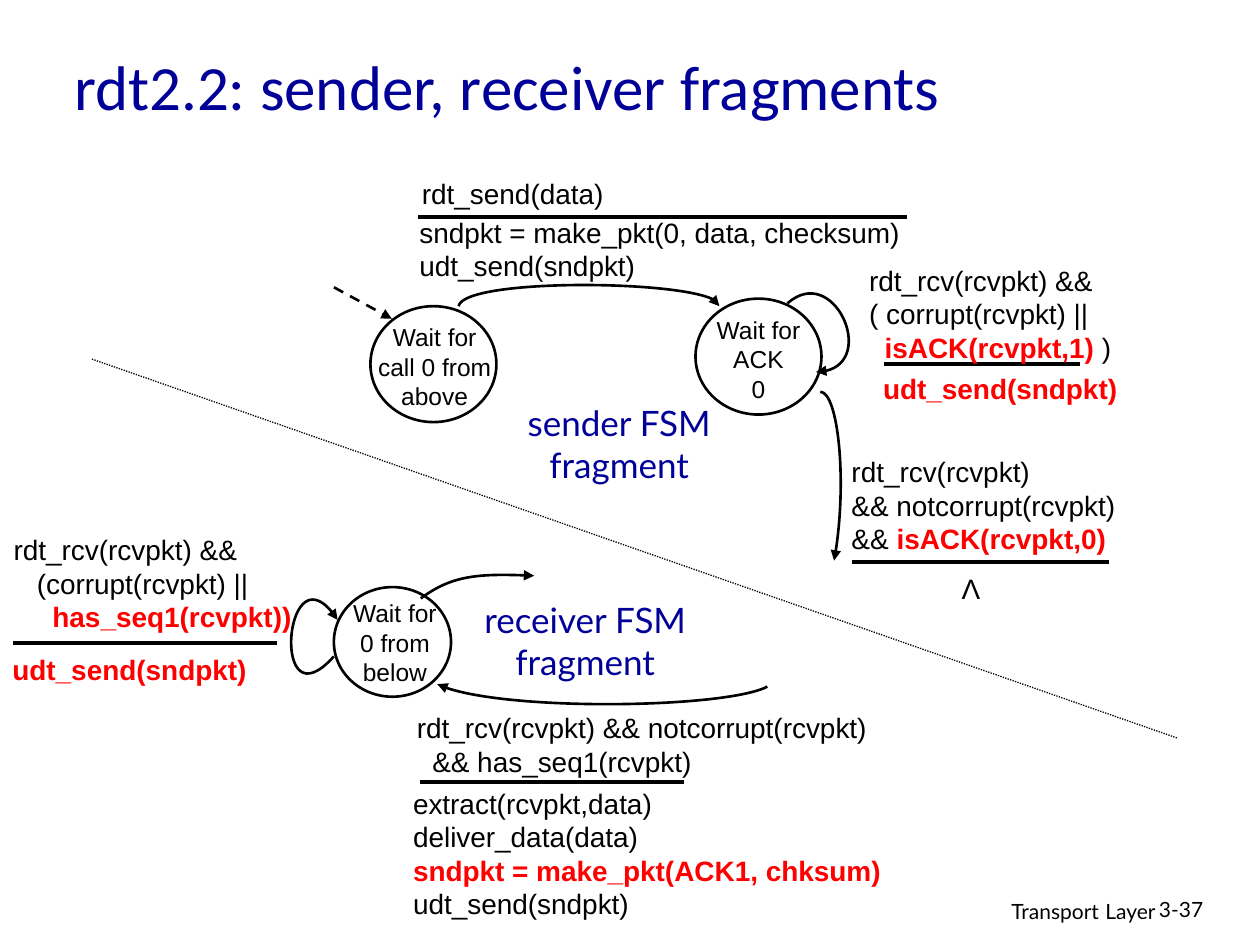
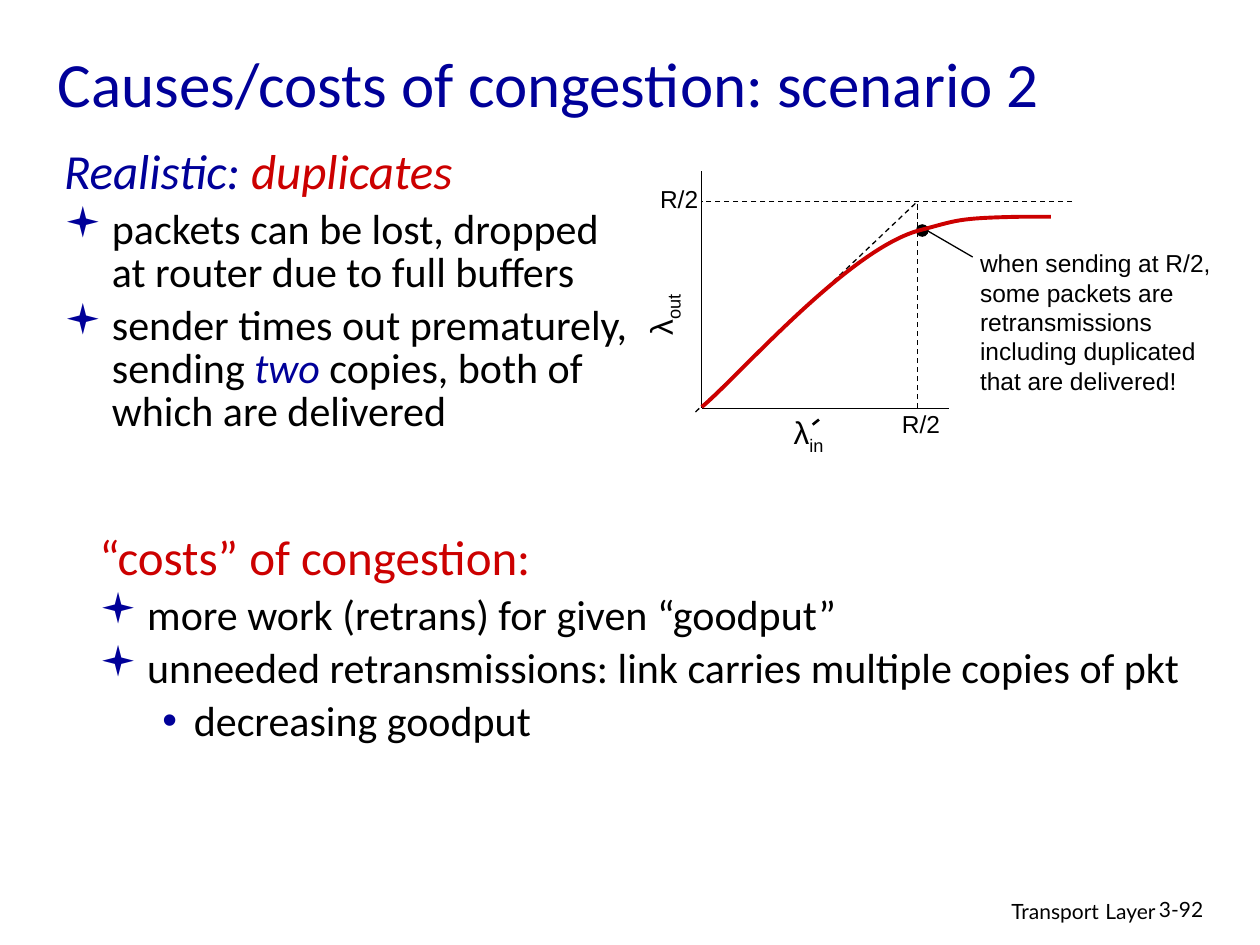
from lxml.etree import SubElement
from pptx import Presentation
from pptx.dml.color import RGBColor
from pptx.enum.dml import MSO_LINE as Dash
from pptx.enum.shapes import MSO_CONNECTOR as Connector, MSO_SHAPE as Shape
from pptx.enum.text import MSO_ANCHOR as Anchor, PP_ALIGN as Align
from pptx.oxml.ns import qn
from pptx.util import Inches, Pt

COLUMNS, ROWS = 100, 75
BLACK, WHITE, NAVY, RED, CRIMSON = "000000", "FFFFFF", "000099", "FF0000", "CC0000"
STYLES = {
    "title": dict(font="Calibri", size=36, color=NAVY),
    "title end": dict(font="Calibri", size=44, color=NAVY),
    "footer": dict(font="Lato", size=12),
    "footer gap": dict(font="Lato", size=14),
    "caption": dict(font="Lato", size=20, color=NAVY),
    "code": dict(size=16),
    "new code": dict(size=16, color=RED, bold=True),
    "label": dict(size=14),
    "symbol": dict(size=18),
    "index": dict(size=18, baseline=-25000),
    "body": dict(font="Calibri", size=24),
    "stress": dict(font="Calibri", size=24, color=NAVY, italic=True),
    "heading": dict(font="Calibri", size=28, color=CRIMSON),
    "lead": dict(font="Calibri", size=28, color=NAVY, italic=True),
    "red lead": dict(font="Calibri", size=28, color=CRIMSON, italic=True),
}
OUTLINE = {
    0: (None, None, 0.38, -0.38),
    1: ("▪", "Wingdings", 0.38, -0.38),
    2: ("•", "Arial", 0.75, -0.25),
}


def rgb(value):
    """Turn a hex string into a colour."""
    return RGBColor.from_string(value)


class Painter:
    """Draws styled elements on the current slide, measured in grid cells."""

    def __init__(self):
        """Open an empty deck of 10 by 7.5 inches."""
        self.deck = Presentation()
        self.deck.slide_width, self.deck.slide_height = Inches(10), Inches(7.5)
        self.cell_width = self.deck.slide_width / COLUMNS
        self.cell_height = self.deck.slide_height / ROWS
        self.page = None

    def grid(self, *lengths):
        """Convert alternating columns and rows to slide units."""
        cells = (self.cell_width, self.cell_height)
        return [round(length * cells[i % 2]) for i, length in enumerate(lengths)]

    def start_page(self, title_at, title, number):
        """Add a slide with its title and footer."""
        self.page = self.deck.slides.add_slide(self.deck.slide_layouts[6])
        self.text(title_at, [title], "title", anchor=Anchor.MIDDLE)
        chapter = [("footer", "Transport"), ("footer gap", " "), ("footer", "Layer")]
        self.text((61, 70.5, 31.7, 3.1), [chapter], "footer", Align.RIGHT)
        self.text((91, 70.7, 7.4, 3), [number], "footer")

    def text(self, at, paras, style, align=Align.LEFT, anchor=Anchor.TOP, wrap=True, turn=0):
        """Add a text box with one paragraph per entry."""
        box = self.page.shapes.add_textbox(*self.grid(*at))
        box.rotation = turn
        frame = box.text_frame
        frame.word_wrap = wrap
        frame.vertical_anchor = anchor
        for i, content in enumerate(paras):
            para = frame.paragraphs[0] if i == 0 else frame.add_paragraph()
            para.alignment = align
            self.spans(para, content, style)
        return frame

    def spans(self, para, content, style):
        """Add runs given as a string or as (style, text) pairs."""
        for name, words in [(style, content)] if isinstance(content, str) else content:
            look = STYLES[name]
            span = para.add_run()
            span.text = words
            span.font.name = look.get("font", "Arial")
            span.font.size = Pt(look["size"])
            span.font.bold = look.get("bold", False)
            span.font.italic = look.get("italic", False)
            span.font.color.rgb = rgb(look.get("color", BLACK))
            if "baseline" in look:
                span._r.get_or_add_rPr().set("baseline", str(look["baseline"]))

    def bullets(self, at, items):
        """Add an outline of (level, content) items; level 0 has no bullet."""
        frame = self.text(at, [content for _, content in items], "body")
        for i, (para, (level, _)) in enumerate(zip(frame.paragraphs, items)):
            mark, font, margin, indent = OUTLINE[level]
            props = para._p.get_or_add_pPr()
            props.set("marL", str(Inches(margin)))
            props.set("indent", str(Inches(indent)))
            if mark:
                SubElement(SubElement(props, qn("a:buClr")), qn("a:srgbClr"), val=NAVY)
                SubElement(props, qn("a:buFont"), typeface=font)
                SubElement(props, qn("a:buChar"), char=mark)
            para.line_spacing = 0.85
            para.space_before = Pt(6 if i else 0)

    def stroke(self, shape, width, color, dash, arrow):
        """Style an outline, with an arrowhead at its end if asked."""
        shape.line.color.rgb = rgb(color)
        shape.line.width = Pt(width)
        if dash:
            shape.line.dash_style = dash
        if arrow:
            SubElement(shape._element.spPr.find(qn("a:ln")), qn("a:tailEnd"), type="triangle")

    def line(self, start, end, width=0.75, dash=None, arrow=False):
        """Add a straight line."""
        link = self.page.shapes.add_connector(Connector.STRAIGHT, *self.grid(*start, *end))
        self.stroke(link, width, BLACK, dash, arrow)
        SubElement(link._element.spPr, qn("a:effectLst"))

    def rule(self, column, row, length):
        """Add the bar between an event and its actions."""
        self.line((column, row), (column + length, row), 2.25)

    def curve(self, start, *points, width=1.5, color=BLACK, arrow=True, turn=0):
        """Add a chain of cubic curves, each given by two controls and an end."""
        builder = self.page.shapes.build_freeform(*self.grid(*start))
        builder.add_line_segments([self.grid(*point) for point in points], close=False)
        shape = builder.convert_to_shape()
        nodes = list(shape._element.iter(qn("a:lnTo")))
        outline = nodes[0].getparent()
        for first in range(0, len(nodes), 3):
            bend = SubElement(outline, qn("a:cubicBezTo"))
            for node in nodes[first:first + 3]:
                bend.append(node[0])
                outline.remove(node)
        shape.rotation = turn
        shape.fill.background()
        shape.shadow.inherit = False
        self.stroke(shape, width, color, None, arrow)

    def disc(self, at, fill, outlined=True):
        """Add an ellipse."""
        shape = self.page.shapes.add_shape(Shape.OVAL, *self.grid(*at))
        shape.shadow.inherit = False
        shape.fill.solid()
        shape.fill.fore_color.rgb = rgb(fill)
        if outlined:
            self.stroke(shape, 1.5, BLACK, None, False)
        else:
            shape.line.fill.background()

    def state(self, at, label_at, label):
        """Add a state of the machine with its label."""
        self.disc(at, WHITE)
        self.text(label_at, label, "label", Align.CENTER)


def draw_fragments(art):
    """Draw the sender and receiver state machines."""
    art.start_page((4.9, 1.9, 85, 9.7), "rdt2.2: sender, receiver fragments", "3-37")
    art.line((7.3, 28.5), (93.5, 58.6), dash=Dash.ROUND_DOT)

    art.state((29.4, 24.3, 10, 9.2), (28.7, 25.1, 11.6, 6.7), ["Wait for call 0 from above"])
    art.state((55.2, 23.7, 10, 9.2), (54.4, 24.5, 11.6, 6.7), ["Wait for ACK", "0"])
    art.state((26.5, 46.6, 9.3, 8.7), (27, 47, 8.7, 6.7), ["Wait for", "0 from below"])
    art.line((26.5, 22.8), (31.1, 25.3), 1.5, Dash.DASH, arrow=True)

    for points in (
        ((36.4, 24.3), (36.8, 22.1), (57.1, 22.2), (57.1, 24.3)),
        ((65.1, 31.1), (66.5, 31.1), (67.3, 38.5), (66.2, 44.5)),
        ((33.4, 47.5), (35.8, 45.7), (38.2, 45.5), (42.4, 45.7)),
        ((60.9, 54.5), (57.6, 56.2), (39.3, 56.5), (34.7, 54.3)),
        ((26.5, 52.1), (21.5, 57.7), (22.6, 42.8), (26.8, 49.2)),
    ):
        art.curve(*points)
    art.curve((63.5, 22.9), (68.1, 21.3), (68.4, 30.7), (63.5, 28.8), turn=337.4)

    for bar in ((33.2, 17.2, 38.8), (70.2, 28.9, 15.5), (67.6, 44.6, 20.4),
                (33.3, 62.1, 21), (1, 51, 21)):
        art.rule(*bar)

    for at, code in (
        ((32.5, 13.5, 18.9, 3.1), ["rdt_send(data)"]),
        ((32.3, 16.6, 40.7, 4.4), ["sndpkt = make_pkt(0, data, checksum)", "udt_send(sndpkt)"]),
        ((68, 20.4, 29.7, 6.3), [
            "rdt_rcv(rcvpkt) &&", "( corrupt(rcvpkt) ||",
            [("code", "  "), ("new code", "isACK(rcvpkt,1)"), ("code", " )")]]),
        ((69.1, 29, 23.2, 4.4), [[("new code", "udt_send(sndpkt)")]]),
        ((66.6, 35.6, 26.4, 6.3), [
            "rdt_rcv(rcvpkt)", "&& notcorrupt(rcvpkt)",
            [("code", "&& "), ("new code", "isACK(rcvpkt,0)")]]),
        ((0.1, 41.8, 25.8, 7), [
            "rdt_rcv(rcvpkt) &&", "   (corrupt(rcvpkt) ||",
            [("code", "     "), ("new code", "has_seq1(rcvpkt))")]]),
        ((0, 51.3, 22.3, 4.5), [[("new code", "udt_send(sndpkt)")]]),
        ((32.1, 55.9, 43.1, 6.3), [
            "rdt_rcv(rcvpkt) && notcorrupt(rcvpkt)", "  && has_seq1(rcvpkt)"]),
        ((31.8, 61.9, 45.7, 7.6), [
            "extract(rcvpkt,data)", "deliver_data(data)",
            [("new code", "sndpkt = make_pkt(ACK1, chksum)")], "udt_send(sndpkt)"]),
    ):
        art.text(at, code, "code")
    art.text((75, 44.9, 4.1, 3.7), ["Λ"], "code", Align.CENTER)

    for at, side in (((40.5, 31.4, 17.3, 7.7), "sender"), ((37.1, 47, 18.7, 7.7), "receiver")):
        art.text(at, [f"{side} FSM", "fragment"], "caption", Align.CENTER, wrap=False)


def draw_congestion(art):
    """Draw the throughput plot and the costs of congestion."""
    title = [("title", "Causes/costs of congestion: scenario 2"), ("title end", " ")]
    art.start_page((3.6, 1.3, 85, 9.5), title, "3-92")
    art.bullets((4.1, 11.4, 47.1, 21), [
        (0, [("lead", "Realistic: "), ("red lead", "duplicates")]),
        (1, "packets can be lost, dropped at router due to full buffers"),
        (1, [("body", "sender times out prematurely, sending "), ("stress", "two "),
             ("body", "copies, both of which are delivered")]),
    ])
    art.bullets((6.9, 42, 89.1, 10.8), [
        (0, [("heading", "“costs” of congestion:")]),
        (1, "more work (retrans) for given “goodput”"),
        (1, "unneeded retransmissions: link carries multiple copies of pkt"),
        (2, "decreasing goodput"),
    ])

    left, base, limit, top = 55.7, 32.4, 72.8, 16
    art.line((left, 13.6), (left, base))
    art.line((75.3, base), (left, base))
    art.line((85.1, top), (left, top), dash=Dash.DASH)
    art.line((55.2, 32.7), (limit, top), dash=Dash.DASH)
    art.line((limit, base), (limit, 16.2), dash=Dash.DASH)
    art.disc((72.7, 17.8, 1, 1), BLACK, outlined=False)
    art.line((77.2, 20.4), (72.9, 17.9), arrow=True)
    art.curve((left, 32.3),
              (58.5, 30), (67.2, 19.9), (72.9, 18.3),
              (76, 17.5), (75.8, 17.3), (81.1, 17.2),
              (83.4, 17.2), (82.9, 17.2), (83.4, 17.2),
              width=2.25, color=CRIMSON, arrow=False)

    for at in ((51.4, 14.1, 5, 3.4), (70.6, 32, 5, 3.4)):
        art.text(at, ["R/2"], "label", wrap=False)
    for at, index, turn in (((49.2, 22, 6.8, 4.4), "out", 270), ((62, 32.3, 4.5, 4.4), "in", 0)):
        art.text(at, [[("symbol", "λ"), ("index", index)]], "symbol", wrap=index == "out", turn=turn)
    art.line((64.5, 33.7), (65, 33.3), 1.5)
    art.text((76.8, 19.2, 20.6, 12.7), [
        "when sending at R/2, some packets are retransmissions including duplicated "
        "that are delivered!"], "label")


def main():
    """Build and save the deck."""
    art = Painter()
    draw_fragments(art)
    draw_congestion(art)
    art.deck.save("out.pptx")


if __name__ == "__main__":
    main()
